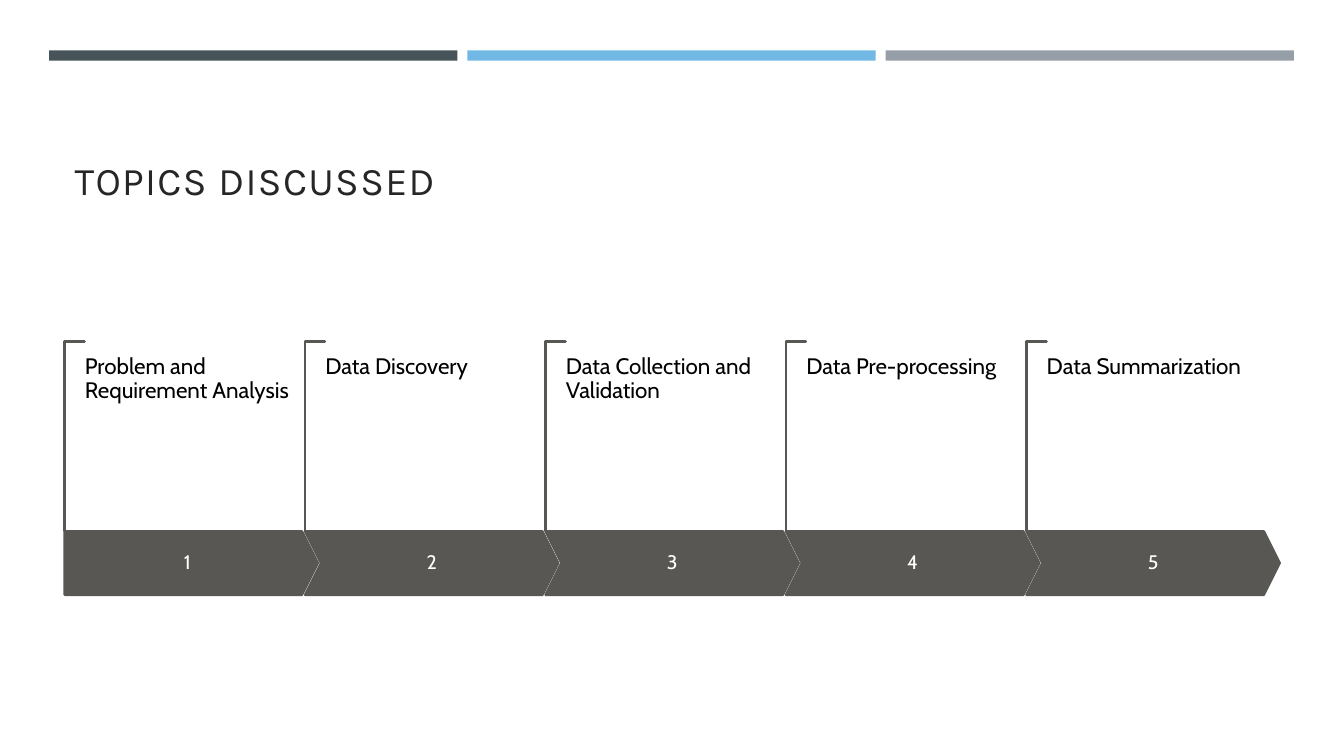
import dataclasses
import typing

import pptx
import pptx.dml.color
import pptx.enum.shapes
import pptx.enum.text
import pptx.util

Cm = pptx.util.Cm
Pt = pptx.util.Pt
RGBColor = pptx.dml.color.RGBColor
KIND = pptx.enum.shapes.MSO_SHAPE
ANCHOR = pptx.enum.text.MSO_ANCHOR
ALIGN = pptx.enum.text.PP_ALIGN

SLATE = RGBColor(0x46, 0x53, 0x59)
BLUE = RGBColor(0x71, 0xB9, 0xE4)
GREY = RGBColor(0x96, 0x9F, 0xA7)
SAND = RGBColor(0xEB, 0xDD, 0xC3)
STONE = RGBColor(0x58, 0x57, 0x53)
INK = RGBColor(0x26, 0x26, 0x26)
BLACK = RGBColor(0x00, 0x00, 0x00)
WHITE = RGBColor(0xFF, 0xFF, 0xFF)

# Left edge of the first step and distance between steps, in cm
LEFT = 1.63
PITCH = 6.06


@dataclasses.dataclass
class Box:
    left: float
    top: float
    width: float
    height: float

    def place(self) -> list[pptx.util.Length]:
        return [Cm(n) for n in (self.left, self.top, self.width, self.height)]


@dataclasses.dataclass
class Style:
    face: str
    size: float
    color: RGBColor
    align: ALIGN
    anchor: ANCHOR
    inset: tuple[float, float]
    space: float = 0.9


HEAD = Style("Karla", 28, INK, ALIGN.LEFT, ANCHOR.BOTTOM, (0.25, 0.13))
DIGIT = Style("Cabin", 14, WHITE, ALIGN.CENTER, ANCHOR.MIDDLE, (0.25, 0.48))
LABEL = Style("Cabin", 16, BLACK, ALIGN.LEFT, ANCHOR.TOP, (0, 0))

BARS = [SLATE, BLUE, GREY]
STEPS = [
    "Problem and Requirement Analysis",
    "Data Discovery",
    "Data Collection and Validation",
    "Data Pre-processing",
    "Data Summarization",
]


def apply(target: typing.Any, values: dict[str, typing.Any]) -> None:
    for name, value in values.items():
        setattr(target, name, value)


def write(shape: typing.Any, text: str, style: Style) -> None:
    frame = shape.text_frame
    side, edge = (Cm(n) for n in style.inset)
    apply(frame, {
        "text": text, "word_wrap": True, "vertical_anchor": style.anchor,
        "margin_left": side, "margin_right": side,
        "margin_top": edge, "margin_bottom": edge,
    })
    para = frame.paragraphs[0]
    apply(para, {"alignment": style.align, "line_spacing": style.space})
    font = para.runs[0].font
    apply(font, {"name": style.face, "size": Pt(style.size), "bold": False})
    font.color.rgb = style.color


def draw(slide: typing.Any, kind: KIND, box: Box, fill: RGBColor,
         line: RGBColor | None = None, adjust: tuple[float, ...] = ()) -> typing.Any:
    shape = slide.shapes.add_shape(kind, *box.place())
    shape.shadow.inherit = False
    shape.fill.solid()
    shape.fill.fore_color.rgb = fill
    if line is None:
        shape.line.fill.background()
    else:
        shape.line.color.rgb = line
        shape.line.width = Pt(1.75)
    for index, value in enumerate(adjust):
        shape.adjustments[index] = value
    return shape


def step(slide: typing.Any, index: int, text: str) -> None:
    left = LEFT + index * PITCH

    # Bracket, turned so that its corner is at the top left
    hook = draw(slide, KIND.CORNER, Box(left - 2.14, 10.74, 4.78, 0.51),
                SAND, STONE, (0.01, 0.01))
    hook.rotation = 90

    # Numbered arrow
    kind = KIND.CHEVRON if index else KIND.PENTAGON
    arrow = draw(slide, kind, Box(left, 13.39, 6.38, 1.6), STONE, STONE, (0.25,))
    write(arrow, str(index + 1), DIGIT)

    # Topic
    label = slide.shapes.add_textbox(*Box(left + 0.51, 8.94, 5.18, 3).place())
    write(label, text, LABEL)


def main() -> None:
    deck = pptx.Presentation()
    apply(deck, {"slide_width": Cm(33.87), "slide_height": Cm(19.05)})
    slide = deck.slides.add_slide(deck.slide_layouts[5])

    # Bars along the top
    for index, color in enumerate(BARS):
        draw(slide, KIND.RECTANGLE, Box(1.24 + index * 10.54, 1.27, 10.29, 0.26), color)

    # Title
    title = slide.shapes.title
    spot = Box(LEFT, 1.96, 30.63, 3.3).place()
    apply(title, dict(zip(("left", "top", "width", "height"), spot)))
    write(title, "TOPICS DISCUSSED", HEAD)
    run = title.text_frame.paragraphs[0].runs[0]
    run.font._element.set("spc", "100")

    # Steps
    for index, text in enumerate(STEPS):
        step(slide, index, text)

    deck.save("out.pptx")


if __name__ == "__main__":
    main()
